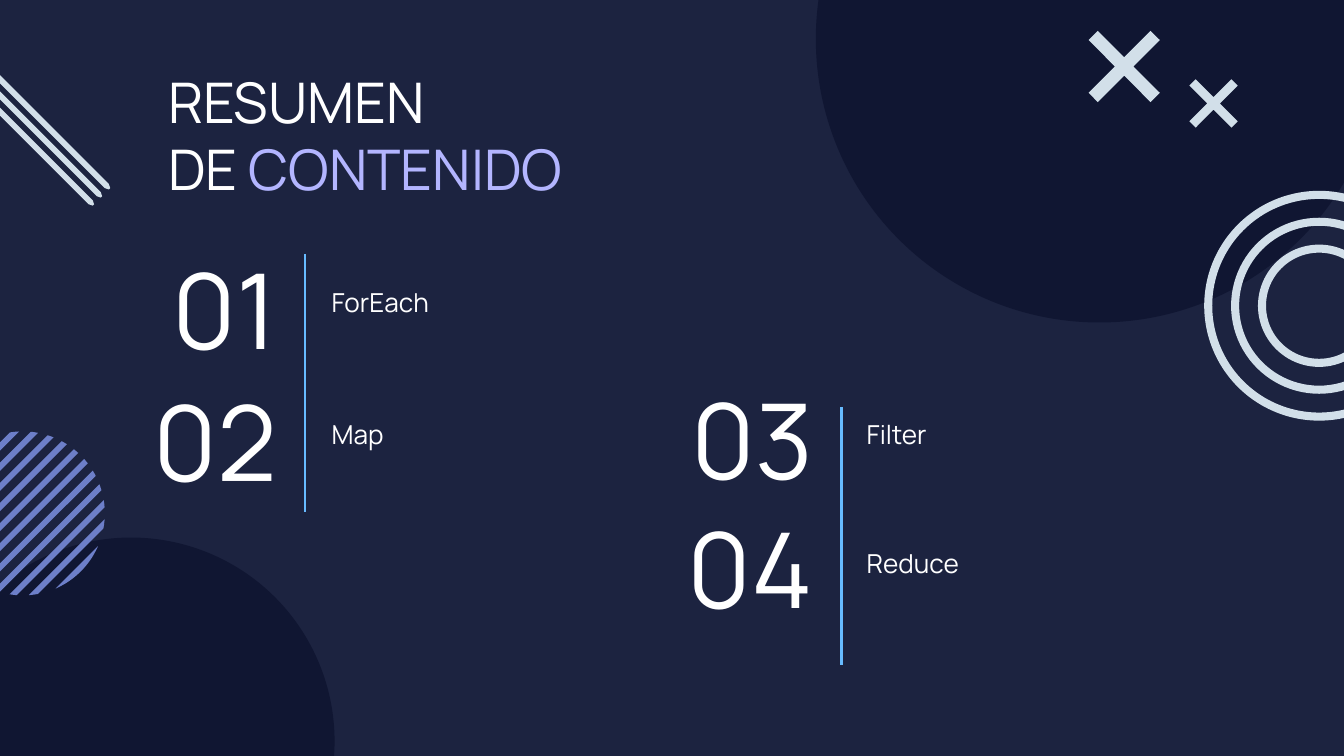
from math import acos, cos, pi, sin, sqrt

from lxml.etree import SubElement
from pptx import Presentation
from pptx.dml.color import RGBColor
from pptx.enum.shapes import MSO_CONNECTOR, MSO_SHAPE
from pptx.enum.text import MSO_ANCHOR, MSO_AUTO_SIZE, PP_ALIGN
from pptx.oxml.ns import qn
from pptx.util import Inches, Pt

FONT = "Manrope"
NAVY, DARK, PALE = "1C2340", "101632", "D2DFE9"
WHITE, LILAC, BLUE, SKY = "FFFFFF", "B3B5FF", "6D7FC9", "67BBFF"


def color(value):
    return RGBColor.from_string(value)


def paint(shape, fill):
    shape.fill.solid()
    shape.fill.fore_color.rgb = color(fill)
    shape.line.fill.background()
    shape.shadow.inherit = False


def add_preset(page, kind, left, top, size, fill):
    shape = page.shapes.add_shape(
        kind, Inches(left), Inches(top), Inches(size), Inches(size))
    paint(shape, fill)
    return shape


def add_polygon(page, points, fill):
    corners = [(Inches(x), Inches(y)) for x, y in points]
    builder = page.shapes.build_freeform(*corners[0])
    builder.add_line_segments(corners[1:])
    paint(builder.convert_to_shape(), fill)


def write(box, lines, size, align=PP_ALIGN.LEFT, anchor=MSO_ANCHOR.TOP):
    frame = box.text_frame
    frame.word_wrap = True
    frame.auto_size = MSO_AUTO_SIZE.NONE
    frame.vertical_anchor = anchor
    frame.margin_left = frame.margin_right = Inches(0.1)
    frame.margin_top = frame.margin_bottom = Inches(0.1)
    for index, spans in enumerate(lines):
        para = frame.add_paragraph() if index else frame.paragraphs[0]
        para.alignment = align
        for text, tint in spans:
            span = para.add_run()
            span.text = text
            span.font.name = FONT
            span.font.size = Pt(size)
            span.font.color.rgb = color(tint)


def add_text(page, text, left, top, width, height, **style):
    box = page.shapes.add_textbox(
        Inches(left), Inches(top), Inches(width), Inches(height))
    write(box, [[(text, WHITE)]], **style)


def add_title(page, left, top, width, height):
    title = page.shapes.title
    title.left, title.top = Inches(left), Inches(top)
    title.width, title.height = Inches(width), Inches(height)
    write(title, [[("RESUMEN", WHITE)], [("DE ", WHITE), ("CONTENIDO", LILAC)]], size=30)


def add_striped_disc(page, left, top, size):
    radius = size / 2
    center_x, center_y = left + radius, top + radius
    count, step, band = 11, 0.15, 0.06
    reach = radius * sqrt(2)
    first = reach - band - (count - 1) * step

    def arc(start, end):
        angles = [start + (end - start) * part / 8 for part in range(9)]
        return [(center_x + radius * cos(angle), center_y + radius * sin(angle))
                for angle in angles]

    def half_angle(offset):
        return acos(max(-1, min(1, offset / reach)))

    for index in range(count):
        near = half_angle(first + index * step)
        far = half_angle(first + index * step + band)
        diagonal = pi / 4
        add_polygon(page, arc(diagonal - near, diagonal - far)
                    + arc(diagonal + far, diagonal + near), BLUE)


def add_rings(page, left, top, size):
    gap, thickness = 0.2, 0.06
    for index in range(3):
        inset = index * gap
        diameter = size - 2 * inset
        ring = add_preset(page, MSO_SHAPE.DONUT, left + inset, top + inset, diameter, PALE)
        ring.adjustments[0] = thickness / diameter


def add_diagonal_bars(page, left, top, size):
    near, far = 0.01, 0.04
    outline = [(0, far - near), (near, 0), (far, near), (size - near, size - far),
               (size, size - near), (size - near, size), (size - far, size - near)]
    for index in range(3):
        shift = index * 0.06
        add_polygon(page, [(left - shift + x, top + shift + y) for x, y in outline], PALE)


def add_cross(page, left, top, size):
    cut = 0.13
    outline = [(cut, 0), (0, cut), (0.5 - cut, 0.5), (0, 1 - cut),
               (cut, 1), (0.5, 0.5 + cut), (1 - cut, 1), (1, 1 - cut),
               (0.5 + cut, 0.5), (1, cut), (1 - cut, 0), (0.5, 0.5 - cut)]
    add_polygon(page, [(left + x * size, top + y * size) for x, y in outline], PALE)


def add_contents(page, entries, left, top, pitch, rule_x, rule_top, label_x, label_top):
    for index, (number, label) in enumerate(entries):
        drop = index * pitch
        add_text(page, number, left, top + drop, 1.45, 0.26, size=56,
                 align=PP_ALIGN.RIGHT, anchor=MSO_ANCHOR.MIDDLE)
        add_text(page, label, label_x, label_top + drop, 2.57, 0.44, size=14)
    rule = page.shapes.add_connector(
        MSO_CONNECTOR.STRAIGHT, Inches(rule_x), Inches(rule_top),
        Inches(rule_x), Inches(rule_top + 1.92))
    rule.line.color.rgb = color(SKY)
    rule.line.width = Pt(1.5)
    SubElement(rule.element.spPr, qn("a:effectLst"))


def main():
    deck = Presentation()
    deck.slide_width = Inches(10)
    deck.slide_height = deck.slide_width * 9 // 16
    page = deck.slides.add_slide(deck.slide_layouts[5])
    page.background.fill.solid()
    page.background.fill.fore_color.rgb = color(NAVY)

    add_title(page, 1.15, 0.4, 4.05, 0.98)
    add_preset(page, MSO_SHAPE.OVAL, -0.54, 4, 3.03, DARK)
    add_preset(page, MSO_SHAPE.OVAL, 6.07, -1.82, 4.22, DARK)
    add_striped_disc(page, -0.44, 3.21, 1.22)
    add_rings(page, 8.96, 1.42, 1.71)
    add_diagonal_bars(page, -0.36, 0.23, 1.18)
    add_cross(page, 8.85, 0.59, 0.36)
    add_cross(page, 8.1, 0.23, 0.53)
    add_contents(page, [("01", "ForEach"), ("02", "Map")], left=0.71, top=2.16, pitch=0.98,
                 rule_x=2.27, rule_top=1.89, label_x=2.37, label_top=2.03)
    add_contents(page, [("03", "Filter"), ("04", "Reduce")], left=4.7, top=3.13, pitch=0.96,
                 rule_x=6.26, rule_top=3.03, label_x=6.35, label_top=3.01)
    deck.save("out.pptx")


if __name__ == "__main__":
    main()
